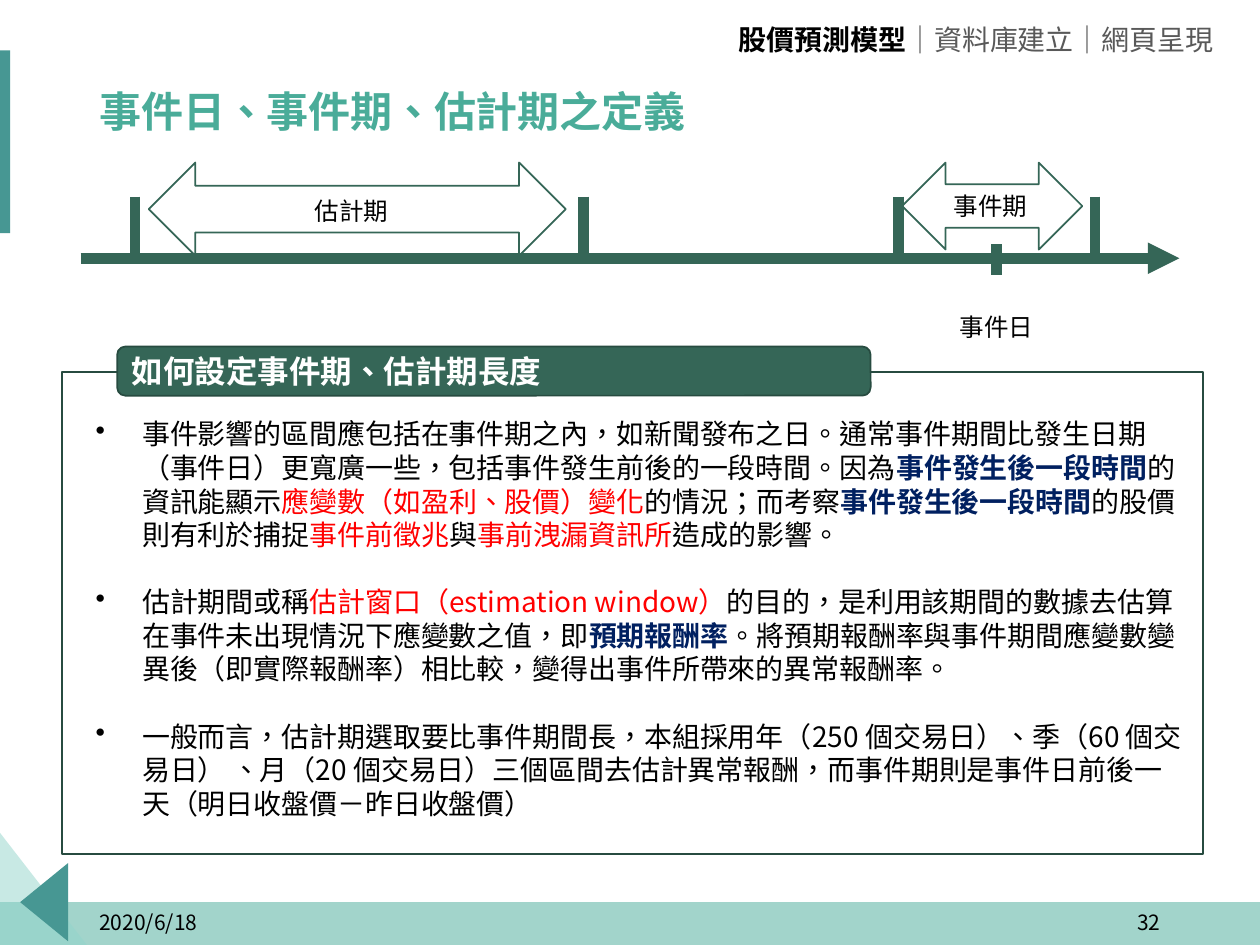
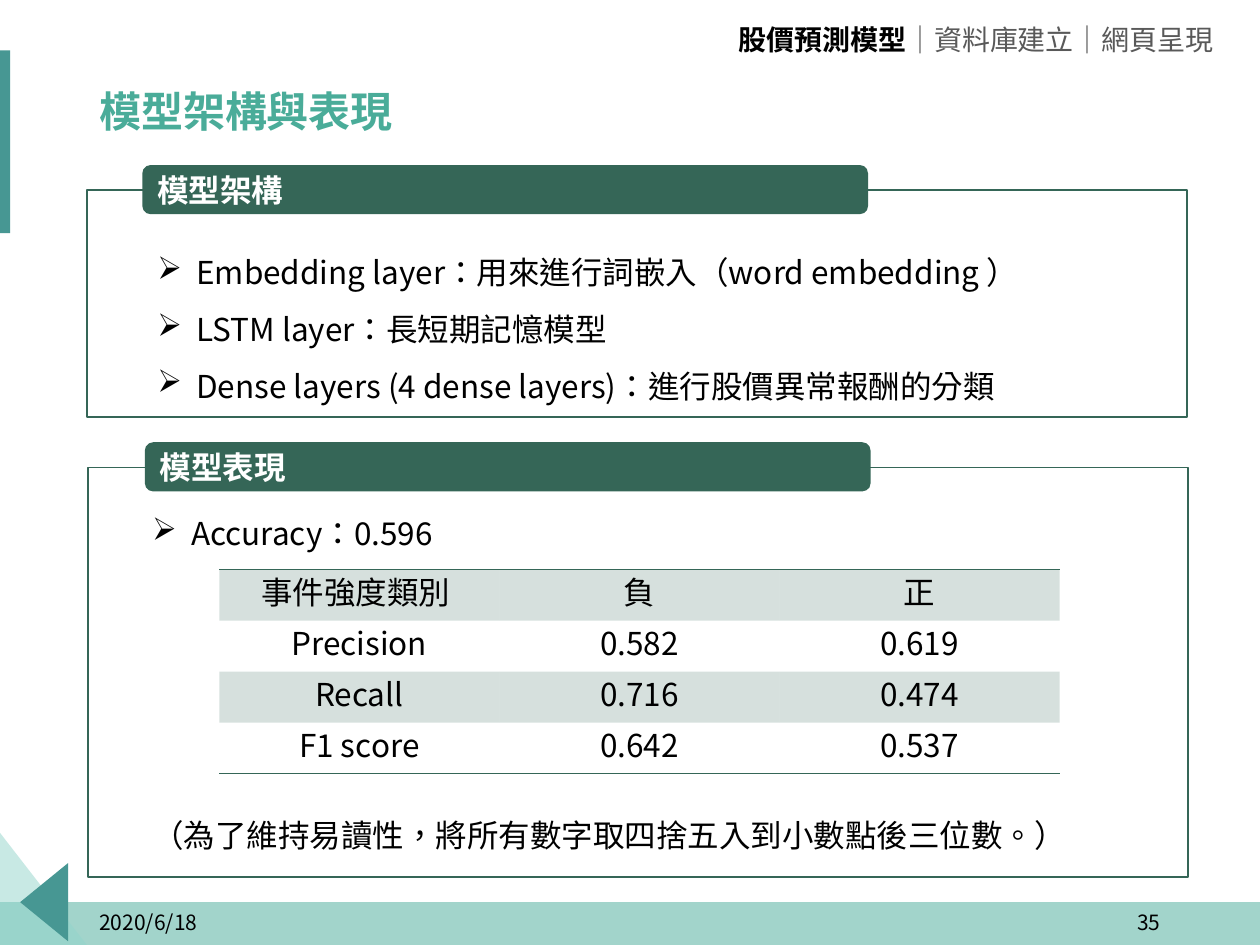
from dataclasses import dataclass
from typing import NamedTuple, Optional

from lxml import etree
from pptx import Presentation
from pptx.dml.color import RGBColor
from pptx.enum.shapes import MSO_CONNECTOR, MSO_SHAPE
from pptx.enum.text import MSO_ANCHOR, MSO_AUTO_SIZE, PP_ALIGN
from pptx.oxml.ns import qn
from pptx.util import Inches, Pt

RECT = MSO_SHAPE.RECTANGLE
ROUND = MSO_SHAPE.ROUNDED_RECTANGLE
ARROW = MSO_SHAPE.LEFT_RIGHT_ARROW
STRAIGHT = MSO_CONNECTOR.STRAIGHT
LEFT, CENTER, RIGHT = PP_ALIGN.LEFT, PP_ALIGN.CENTER, PP_ALIGN.RIGHT
TOP, MIDDLE = MSO_ANCHOR.TOP, MSO_ANCHOR.MIDDLE
TITLE_ONLY = 5
PLAIN_TABLE = "{2D5ABB26-0587-4C30-8999-92F81FD0307C}"


@dataclass(frozen=True)
class Theme:
    mint: str = "4AAC99"
    pale: str = "92D4CB"
    teal: str = "479793"
    green: str = "356657"
    dark: str = "274B40"
    navy: str = "002060"
    red: str = "FF0000"
    gray: str = "595959"
    black: str = "000000"
    white: str = "FFFFFF"
    font: str = "Noto Sans CJK TC"
    alt: str = "Noto Sans CJK SC"
    title: int = 24
    head: int = 18
    body: int = 16
    label: int = 14
    foot: int = 12
    lead: float = 1.2  # line height as a share of type size


T = Theme()


class Box(NamedTuple):
    left: float
    top: float
    width: float
    height: float


class Run(NamedTuple):
    text: str
    color: Optional[str] = None
    bold: Optional[bool] = None
    font: Optional[str] = None


@dataclass(frozen=True)
class Panel:
    box: Box
    tab: Box
    title: str
    line: str = T.green
    edge: Optional[str] = None


class Tick(NamedTuple):
    x: float
    top: float = 1.56
    end: float = 2.05


class Span(NamedTuple):
    arrow: Box
    text: Box
    label: str


# Text and shape helpers
def sub(parent, tag: str, **attrs: str):
    return etree.SubElement(parent, qn(tag), attrs)


def place(box: Box) -> list:
    return [Inches(v) for v in box]


def write(frame, paras: list, *, size: int = T.body, color: str = T.black,
          bold: bool = False, font: str = T.font, align=LEFT, anchor=TOP,
          lead: float = 1, gap: float = 0, bullet: str = "",
          hang: float = 0, track: int = 0) -> None:
    """Fill a frame; each paragraph is a string or a list of runs."""
    frame.vertical_anchor = anchor
    for i, para in enumerate(paras):
        p = frame.paragraphs[0] if i == 0 else frame.add_paragraph()
        p.alignment = align
        p.line_spacing = Pt(size * T.lead * lead)
        p.space_before = Pt(0)
        p.space_after = Pt(gap if i < len(paras) - 1 else 0)
        if bullet:
            props = p._p.get_or_add_pPr()
            props.set("marL", str(Inches(hang)))
            props.set("indent", str(-Inches(hang)))
            sub(props, "a:buChar", char=bullet)
        for part in [Run(para)] if isinstance(para, str) else para:
            run = p.add_run()
            run.text = part.text
            f = run.font
            f.size = Pt(size)
            f.bold = bold if part.bold is None else part.bold
            f.name = part.font or font
            f.color.rgb = RGBColor.from_string(part.color or color)
            props = run._r.get_or_add_rPr()
            props.set("lang", "zh-TW")
            if track:
                props.set("spc", str(track))
            sub(props, "a:ea", typeface=part.font or font)


def note(slide, box: Box, paras: list, wrap: bool = True, **fmt) -> None:
    frame = slide.shapes.add_textbox(*place(box)).text_frame
    frame.word_wrap = wrap
    write(frame, paras, **fmt)


def tint(fill, color: Optional[str], alpha: int = 100) -> None:
    if color is None:
        fill.background()
        return
    fill.solid()
    fill.fore_color.rgb = RGBColor.from_string(color)
    if alpha < 100:
        node = fill._xPr.find(qn("a:solidFill"))[0]
        sub(node, "a:alpha", val=str(alpha * 1000))


def paint(shape, fill: Optional[str] = None, line: Optional[str] = None,
          alpha: int = 100) -> None:
    shape.shadow.inherit = False
    tint(shape.fill, fill, alpha)
    tint(shape.line.fill, line)
    if line:
        shape.line.width = Pt(1)


def draw(slide, kind, box: Box, **look):
    shape = slide.shapes.add_shape(kind, *place(box))
    paint(shape, **look)
    return shape


def outline(slide, points: list, **look) -> None:
    first, *rest = [(Inches(x), Inches(y)) for x, y in points]
    pen = slide.shapes.build_freeform(*first)
    pen.add_line_segments(rest, close=True)
    paint(pen.convert_to_shape(), **look)


def stroke(slide, x1: float, y1: float, x2: float, y2: float,
           head: bool = False) -> None:
    line = slide.shapes.add_connector(
        STRAIGHT, Inches(x1), Inches(y1), Inches(x2), Inches(y2))
    line.line.color.rgb = RGBColor.from_string(T.green)
    line.line.width = Pt(6)
    if head:
        sub(line.line._get_or_add_ln(), "a:tailEnd", type="triangle")
    sub(line._element.spPr, "a:effectLst")


# Parts that both slides share
def start(deck, title: str, page: int, font: str = T.font):
    slide = deck.slides.add_slide(deck.slide_layouts[TITLE_ONLY])
    draw(slide, RECT, Box(0, 7.16, 10, 0.34), fill=T.mint, alpha=51)
    outline(slide, [(0, 6.61), (0.69, 7.5), (0, 7.5)], fill=T.pale, alpha=50)
    outline(slide, [(0.54, 6.85), (0.54, 7.47), (0.16, 7.16)], fill=T.teal)
    draw(slide, RECT, Box(-0.08, 0.4, 0.16, 1.45), fill=T.teal)

    head = slide.shapes.title
    head.left, head.top, head.width, head.height = place(
        Box(0.69, 0.57, 8.62, 0.66))
    head.text_frame.auto_size = MSO_AUTO_SIZE.NONE
    write(head.text_frame, [title], size=T.title, color=T.mint, bold=True,
          font=font, anchor=MIDDLE, lead=0.9, track=-10)

    for left, text, align in ((0.69, "2020/6/18", LEFT),
                              (7.06, str(page), RIGHT)):
        note(slide, Box(left, 7.12, 2.25, 0.4), [text], size=T.foot,
             align=align, anchor=MIDDLE)
    bar = Run("｜", font=T.alt)
    note(slide, Box(5.71, 0.13, 4.02, 0.37),
         [[Run("股價預測模型", T.black, True), bar, Run("資料庫建立"), bar,
           Run("網頁呈現")]], wrap=False, color=T.gray, align=RIGHT)
    return slide


def frame(slide, panel: Panel) -> None:
    draw(slide, RECT, panel.box, line=panel.line)
    tab = draw(slide, ROUND, panel.tab, fill=T.green, line=panel.edge)
    write(tab.text_frame, [panel.title], size=T.head, color=T.white,
          bold=True, anchor=MIDDLE)


# Slide: event day and periods
TICKS = [Tick(1.07), Tick(4.63), Tick(7.13), Tick(8.69),
         Tick(7.91, 1.94, 2.18)]
SPANS = [
    Span(Box(1.18, 1.29, 3.31, 0.74), Box(2.4, 1.51, 0.96, 0.34), "估計期"),
    Span(Box(7.16, 1.29, 1.43, 0.69), Box(7.47, 1.47, 1.6, 0.34), "事件期"),
]
LENGTH = Panel(Box(0.49, 2.95, 9.06, 3.83), Box(0.93, 2.75, 5.98, 0.39),
               "如何設定事件期、估計期長度", T.dark, T.dark)
AFTER = Run("事件發生後一段時間", T.navy, True)
POINTS = [
    [Run("事件影響的區間應包括在事件期之內，如新聞發布之日。通常事件期間比發生日期"
         "（事件日）更寬廣一些，包括事件發生前後的一段時間。因為"),
     AFTER, Run("的資訊能顯示"), Run("應變數（如盈利、股價）變化", T.red),
     Run("的情況；而考察"), AFTER, Run("的股價則有利於捕捉"),
     Run("事件前徵兆", T.red), Run("與"), Run("事前洩漏資訊所", T.red),
     Run("造成的影響。")],
    [Run("估計期間或稱"), Run("估計窗口（estimation window）", T.red),
     Run("的目的，是利用該期間的數據去估算在事件未出現情況下應變數之值，即"),
     Run("預期報酬率", T.navy, True),
     Run("。將預期報酬率與事件期間應變數變異後（即實際報酬率）相比較，"
         "變得出事件所帶來的異常報酬率。")],
    "一般而言，估計期選取要比事件期間長，本組採用年（250 個交易日）、季"
    "（60 個交易日） 、月（20 個交易日）三個區間去估計異常報酬，"
    "而事件期則是事件日前後一天（明日收盤價－昨日收盤價）",
]


def periods(deck) -> None:
    slide = start(deck, "事件日、事件期、估計期之定義", 32)
    stroke(slide, 0.64, 2.05, 9.36, 2.05, head=True)
    for tick in TICKS:
        stroke(slide, tick.x, tick.top, tick.x, tick.end)
    for span in SPANS:
        draw(slide, ARROW, span.arrow, line=T.green)
        note(slide, span.text, [span.label], size=T.label)
    note(slide, Box(6.91, 2.43, 2, 0.34), ["事件日"], size=T.label,
         align=CENTER)
    frame(slide, LENGTH)
    note(slide, Box(0.66, 3.26, 8.85, 3.64), POINTS, bullet="•", hang=0.37,
         gap=T.body * T.lead)


# Slide: model layers and scores
PANELS = [
    Panel(Box(0.69, 1.51, 8.73, 1.8), Box(1.13, 1.31, 5.76, 0.39), "模型架構"),
    Panel(Box(0.7, 3.71, 8.73, 3.25), Box(1.15, 3.51, 5.76, 0.39), "模型表現"),
]
LAYERS = [
    "Embedding layer：用來進行詞嵌入（word embedding ）",
    "LSTM layer：長短期記憶模型",
    "Dense layers (4 dense layers)：進行股價異常報酬的分類",
]
SCORES = [
    ("事件強度類別 ", "負", "正"),
    ("Precision", "0.582", "0.619"),
    ("Recall", "0.716", "0.474"),
    ("F1 score", "0.642", "0.537"),
]


def rule(cell, side: str) -> None:
    line = etree.Element(qn(side), w=str(Pt(1)))
    color = sub(sub(line, "a:solidFill"), "a:srgbClr", val=T.green)
    color.getparent().tail = None
    cell._tc.get_or_add_tcPr().insert(0, line)


def grid(slide, box: Box, rows: list) -> None:
    table = slide.shapes.add_table(len(rows), len(rows[0]), *place(box)).table
    table.first_row = table.horz_banding = False
    table._tbl.tblPr.find(qn("a:tableStyleId")).text = PLAIN_TABLE
    for r, row in enumerate(rows):
        for c, text in enumerate(row):
            cell = table.cell(r, c)
            write(cell.text_frame, [text], size=T.head, align=CENTER)
            tint(cell.fill, None if r % 2 else T.green, 20)
            if r == 0:
                rule(cell, "a:lnT")
            elif r == len(rows) - 1:
                rule(cell, "a:lnB")


def model(deck) -> None:
    slide = start(deck, "模型架構與表現", 35, T.alt)
    for panel in PANELS:
        frame(slide, panel)
    mark = {"size": T.head, "bullet": "➢", "hang": 0.31}
    note(slide, Box(1.15, 1.81, 8.18, 1.41), LAYERS, lead=1.5, **mark)
    note(slide, Box(1.11, 4.03, 8.18, 0.4), ["Accuracy：0.596"], **mark)
    note(slide, Box(1.11, 6.43, 8.18, 0.4),
         ["（為了維持易讀性，將所有數字取四捨五入到小數點後三位數。）"],
         size=T.head)
    grid(slide, Box(1.74, 4.52, 6.67, 1.62), SCORES)


def main() -> None:
    deck = Presentation()
    deck.slide_width, deck.slide_height = Inches(10), Inches(7.5)
    periods(deck)
    model(deck)
    deck.save("out.pptx")


if __name__ == "__main__":
    main()
